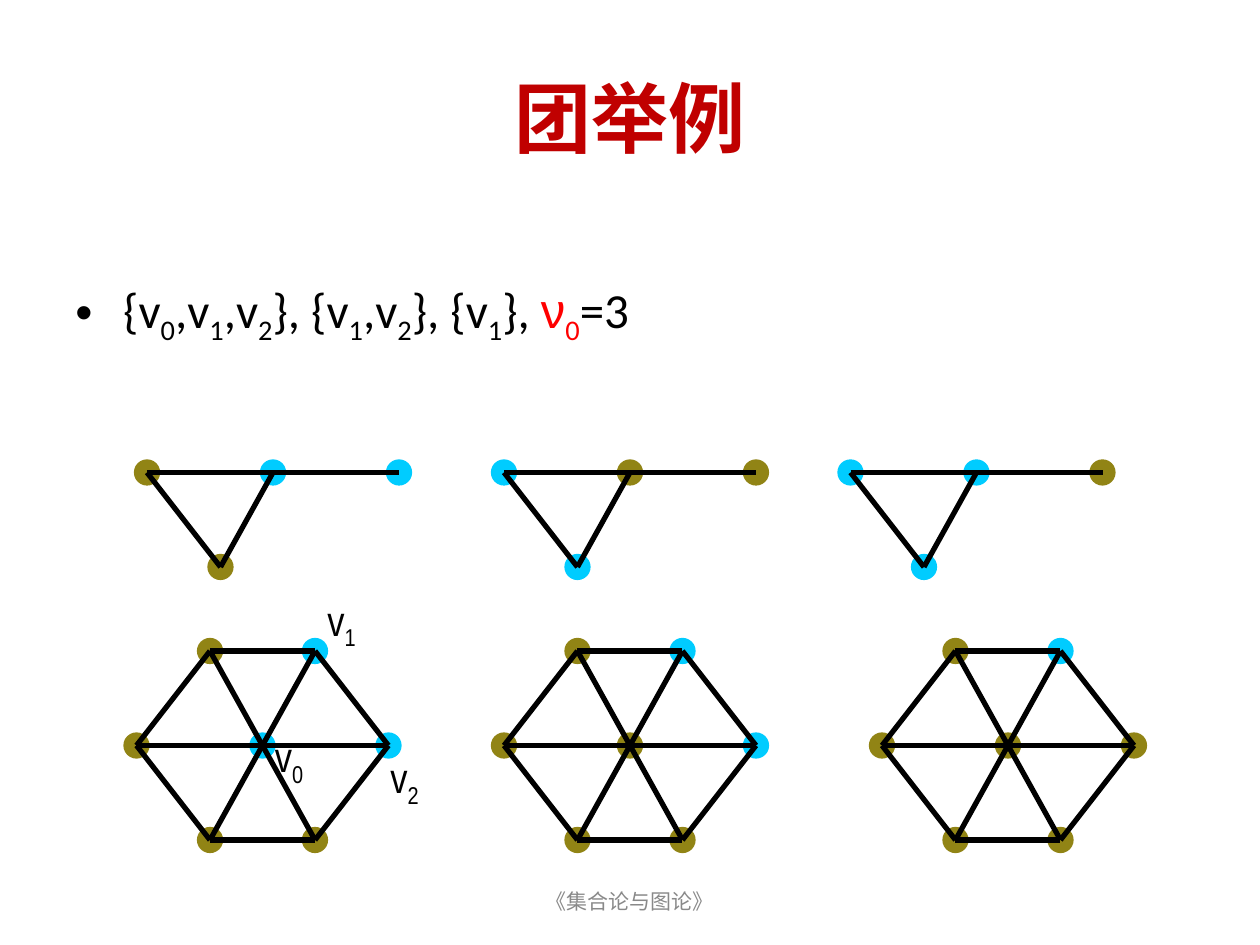
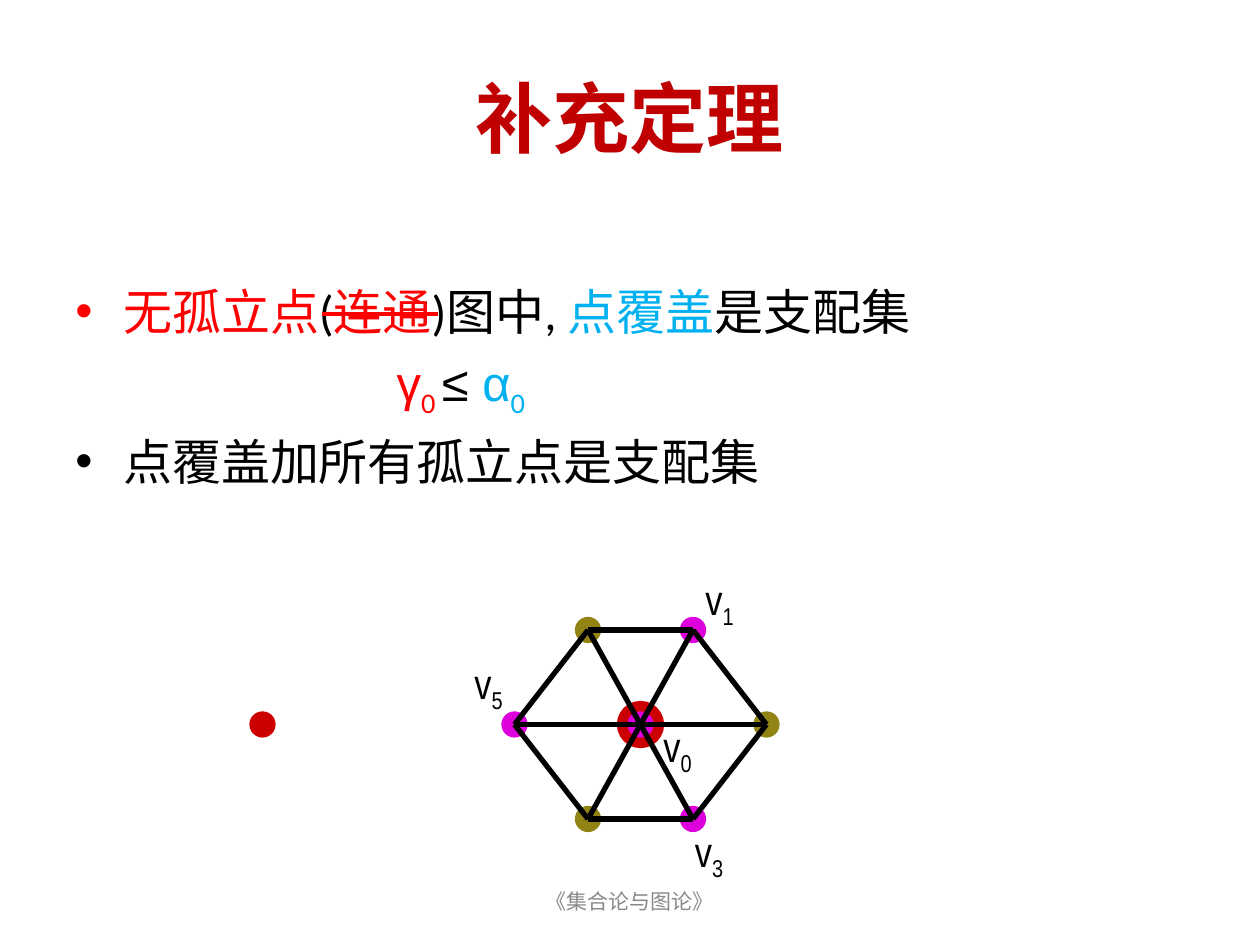
from dataclasses import dataclass
from typing import NamedTuple

from lxml.etree import SubElement
from pptx import Presentation
from pptx.dml.color import RGBColor
from pptx.enum.shapes import MSO_CONNECTOR, MSO_SHAPE
from pptx.enum.text import MSO_ANCHOR, MSO_AUTO_SIZE, PP_ALIGN
from pptx.oxml.ns import qn
from pptx.slide import Slide
from pptx.util import Emu, Inches, Pt


@dataclass(frozen=True)
class Theme:
    black: str = "000000"
    title: str = "C00000"
    footer: str = "898989"
    red: str = "FF0000"
    blue: str = "00B0F0"
    plain: str = "918415"      # vertex outside the set
    clique: str = "00CCFF"
    cover: str = "DD00DD"
    dominating: str = "CC0000"
    body_font: str = "Calibri"
    greek_font: str = "Arial"
    label_font: str = "Arial Narrow"
    title_size: int = 44
    body_size: int = 28
    label_size: int = 24
    footer_size: int = 12
    edge_width: float = 3
    strike_width: float = 2.25


THEME = Theme()

# Grid of 120 columns by 90 rows, one twelfth of an inch each
COLUMNS, ROWS = 120, 90
CELL = Inches(1 / 12)


class Point(NamedTuple):
    col: float
    row: float

    def shift(self, by: "Point") -> "Point":
        return Point(self.col + by.col, self.row + by.row)


class Box(NamedTuple):
    col: float
    row: float
    width: float
    height: float


class Span(NamedTuple):
    """Text in which pieces between underscores are subscripts."""
    text: str
    color: str = THEME.black
    font: str = THEME.body_font
    size: float = THEME.body_size
    bold: bool = False


class Line(NamedTuple):
    spans: list[Span]
    bullet: str | None = None  # bullet colour
    indent: float = 0          # inches
    before: float = 0          # points
    align: PP_ALIGN = PP_ALIGN.LEFT


class Label(NamedTuple):
    index: int
    at: Point


class Graph(NamedTuple):
    vertices: dict[str, Point]
    edges: list[str]


# Vertices are offsets from the hub (wheel) or the left end (kite)
WHEEL = Graph(
    {"a": Point(-5, -9), "b": Point(5, -9), "c": Point(-5, 9), "d": Point(5, 9),
     "w": Point(-12, 0), "e": Point(12, 0), "h": Point(0, 0)},
    ["ab", "aw", "ah", "be", "wh", "hb", "wc", "cd", "de", "he", "ch", "dh"])
KITE = Graph(
    {"s": Point(7, 9), "l": Point(0, 0), "m": Point(12, 0), "r": Point(24, 0)},
    ["lm", "ls", "sm", "mr"])

TITLE_BOX = Box(6, 3.6, 108, 15)
FOOTER_BOX = Box(41, 83.4, 38, 4.8)
FOOTER = "《集合论与图论》"
BULLET_INDENT = 0.38
BODY_GAP = 7


def rgb(color: str) -> RGBColor:
    return RGBColor.from_string(color)


def cells(count: float) -> Emu:
    return Emu(round(count * CELL))


# Text
def add_span(paragraph, span: Span) -> None:
    for place, piece in enumerate(span.text.split("_")):
        if not piece:
            continue
        run = paragraph.add_run()
        run.text = piece
        look = {"name": span.font, "size": Pt(span.size), "bold": span.bold}
        for key, value in look.items():
            setattr(run.font, key, value)
        run.font.color.rgb = rgb(span.color)
        if place % 2:
            run._r.get_or_add_rPr().set("baseline", "-25000")


def set_bullet(paragraph, color: str) -> None:
    props = paragraph._p.get_or_add_pPr()
    props.set("marL", str(Inches(BULLET_INDENT)))
    props.set("indent", str(-Inches(BULLET_INDENT)))
    SubElement(SubElement(props, qn("a:buClr")), qn("a:srgbClr"), val=color)
    SubElement(props, qn("a:buFont"), typeface="Arial")
    SubElement(props, qn("a:buChar"), char="•")


def add_text(slide: Slide, box: Box, lines: list[Line],
             anchor: MSO_ANCHOR = MSO_ANCHOR.TOP) -> None:
    frame = slide.shapes.add_textbox(*map(cells, box)).text_frame
    layout = {"word_wrap": True, "vertical_anchor": anchor,
              "auto_size": MSO_AUTO_SIZE.NONE}
    for key, value in layout.items():
        setattr(frame, key, value)
    for number, line in enumerate(lines):
        paragraph = frame.add_paragraph() if number else frame.paragraphs[0]
        for key, value in {"alignment": line.align,
                           "space_before": Pt(line.before)}.items():
            setattr(paragraph, key, value)
        if line.bullet:
            set_bullet(paragraph, line.bullet)
        elif line.indent:
            paragraph._p.get_or_add_pPr().set("marL", str(Inches(line.indent)))
        for span in line.spans:
            add_span(paragraph, span)


def add_label(slide: Slide, label: Label) -> None:
    name = Span(f"v_{label.index}_", THEME.black, THEME.label_font, THEME.label_size)
    add_text(slide, Box(*label.at, 6, 6.75), [Line([name], before=15)])


# Graphs
def add_vertex(slide: Slide, center: Point, color: str, radius: float = 1) -> None:
    dot = slide.shapes.add_shape(
        MSO_SHAPE.OVAL, cells(center.col - radius), cells(center.row - radius),
        cells(2 * radius), cells(2 * radius))
    dot.shadow.inherit = False
    dot.fill.solid()
    dot.fill.fore_color.rgb = rgb(color)
    dot.line.color.rgb = rgb(color)
    dot.line.width = Pt(THEME.edge_width)


def add_edge(slide: Slide, start: Point, end: Point,
             color: str = THEME.black, width: float = THEME.edge_width) -> None:
    edge = slide.shapes.add_connector(
        MSO_CONNECTOR.STRAIGHT, *map(cells, (*start, *end)))
    edge.line.color.rgb = rgb(color)
    edge.line.width = Pt(width)
    SubElement(edge._element.spPr, qn("a:effectLst"))


def add_graph(slide: Slide, graph: Graph, origin: Point,
              chosen: str, color: str) -> None:
    """Draw a graph with the chosen vertices in the given colour."""
    spots = {key: origin.shift(offset) for key, offset in graph.vertices.items()}
    for key, spot in spots.items():
        add_vertex(slide, spot, color if key in chosen else THEME.plain)
    for start, end in graph.edges:
        add_edge(slide, spots[start], spots[end])


# Slides
def start_slide(deck, title: str) -> Slide:
    slide = deck.slides.add_slide(deck.slide_layouts[6])
    heading = Span(title, THEME.title, size=THEME.title_size, bold=True)
    source = Span(FOOTER, THEME.footer, THEME.greek_font, THEME.footer_size)
    for box, span in ((TITLE_BOX, heading), (FOOTER_BOX, source)):
        add_text(slide, box, [Line([span], align=PP_ALIGN.CENTER)], MSO_ANCHOR.MIDDLE)
    return slide


def build_clique_examples(deck) -> None:
    slide = start_slide(deck, "团举例")
    add_text(slide, Box(6, 26, 108, 13.2), [Line([
        Span("{v_0_,v_1_,v_2_}, {v_1_,v_2_}, {v_1_}, "),
        Span("ν", THEME.red, THEME.greek_font),
        Span("_0_", THEME.red),
        Span("=3"),
    ], bullet=THEME.black, before=BODY_GAP)])

    for hub, clique in ((25, "bhe"), (60, "be"), (96, "b")):
        add_graph(slide, WHEEL, Point(hub, 71), clique, THEME.clique)
    for label in (Label(0, Point(25, 69)), Label(1, Point(30, 56)),
                  Label(2, Point(36, 71))):
        add_label(slide, label)
    for left, clique in ((14, "mr"), (48, "ls"), (81, "lms")):
        add_graph(slide, KITE, Point(left, 45), clique, THEME.clique)


def build_cover_theorem(deck) -> None:
    slide = start_slide(deck, "补充定理")
    add_text(slide, Box(6, 26.2, 108, 40.5), [
        Line([Span("无孤立点", THEME.red), Span("("), Span("连通", THEME.red),
              Span(")图中, "), Span("点覆盖", THEME.blue), Span("是支配集")],
             bullet=THEME.red, before=BODY_GAP),
        Line([Span("γ", THEME.red, THEME.greek_font), Span("_0 _", THEME.red),
              Span("≤ ", font=THEME.greek_font),
              Span("α", THEME.blue, THEME.greek_font), Span("_0_", THEME.blue)],
             indent=2.55, before=BODY_GAP),
        Line([Span("点覆盖加所有孤立点是支配集")],
             bullet=THEME.black, before=BODY_GAP),
    ])

    # Wheel with its cover, the dominating hub behind it
    hub = Point(61, 69)
    add_vertex(slide, hub, THEME.dominating, radius=2)
    add_graph(slide, WHEEL, hub, "bdwh", THEME.cover)
    for label in (Label(0, Point(62, 68)), Label(1, Point(66, 54)),
                  Label(3, Point(65, 78)), Label(5, Point(44, 62))):
        add_label(slide, label)

    # Isolated vertex, and the stroke through the dropped condition
    add_vertex(slide, Point(25, 69), THEME.dominating)
    add_edge(slide, Point(30.7, 29.9), Point(41.75, 29.9),
             THEME.red, THEME.strike_width)


def main() -> None:
    deck = Presentation()
    deck.slide_width, deck.slide_height = cells(COLUMNS), cells(ROWS)
    build_clique_examples(deck)
    build_cover_theorem(deck)
    deck.save("out.pptx")


if __name__ == "__main__":
    main()
